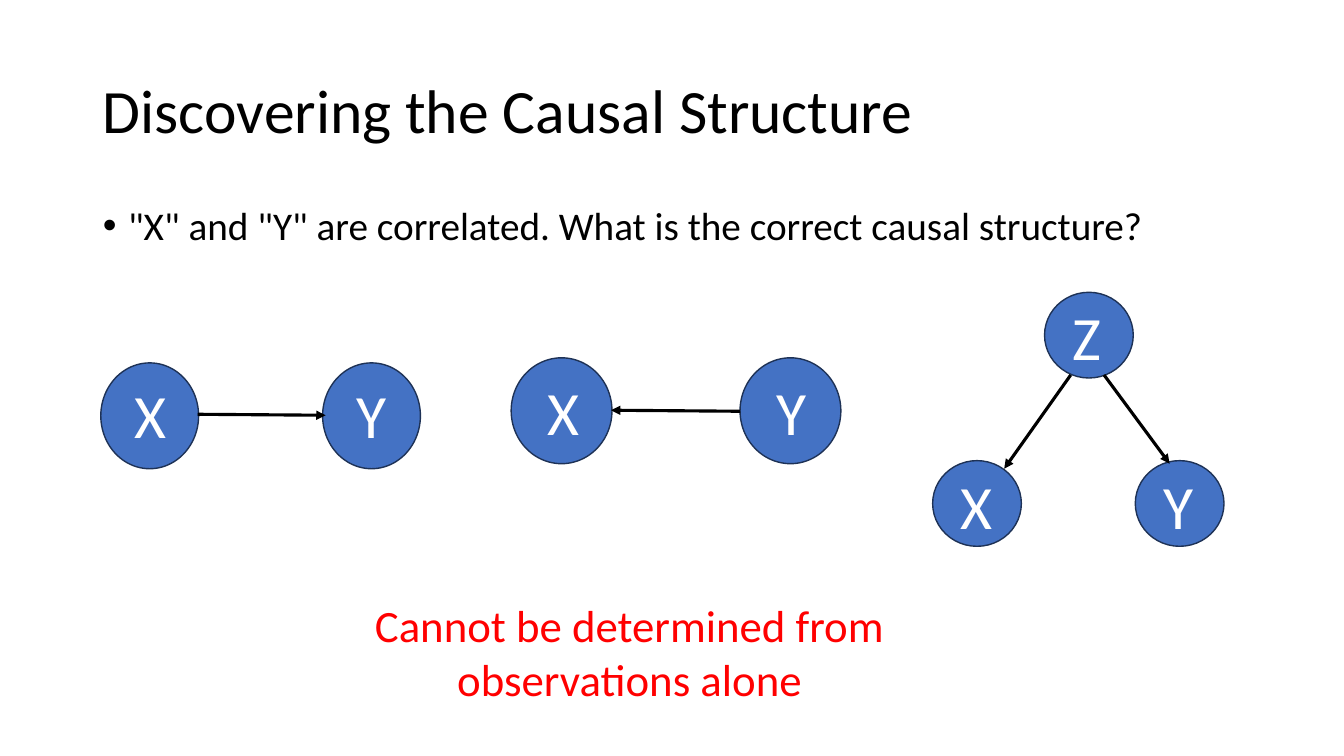
from lxml import etree
from pptx import Presentation
from pptx import util as u
from pptx.dml.color import RGBColor
from pptx.enum import shapes, text
from pptx.oxml.ns import qn

COLORS = {"ink": "000000", "node": "4472C4", "outline": "1E3256", "label": "FFFFFF", "answer": "FF0000"}
FONT = "Calibri"

DIAGRAMS = [
    {"size": (0.97, 1.05), "offset": (0.24, 0.09), "label": (0.43, 0.76),
     "nodes": [("X", 1, 3.6), ("Y", 3.2, 3.6)],
     "arrows": [(1.96, 4.11, 3.23, 4.12)]},
    {"size": (1, 1.05), "offset": (0.26, 0.11), "label": (0.44, 0.76),
     "nodes": [("X", 5.07, 3.55), ("Y", 7.34, 3.55)],
     "arrows": [(7.34, 4.08, 6.06, 4.07)]},
    {"size": (0.88, 0.85), "offset": (0.18, 0.02), "label": (0.39, 0.62),
     "nodes": [("Z", 10.36, 2.9), ("X", 9.25, 4.57), ("Y", 11.26, 4.57)],
     "arrows": [(10.62, 3.72, 9.96, 4.65), (10.95, 3.72, 11.6, 4.6)]},
]


def color(name):
    return RGBColor.from_string(COLORS[name])


def inches(*values):
    return [u.Inches(value) for value in values]


def write(shape, words, size, ink, align=text.PP_ALIGN.LEFT):
    frame = shape.text_frame
    frame.word_wrap = True
    frame.auto_size = text.MSO_AUTO_SIZE.NONE
    frame.text = words
    paragraph = frame.paragraphs[0]
    paragraph.alignment = align
    paragraph.space_before = u.Pt(0)
    paragraph.font.name = FONT
    paragraph.font.size = u.Pt(size)
    paragraph.font.color.rgb = color(ink)
    return paragraph


def fill_placeholder(shape, box, words, size, anchor):
    shape.left, shape.top, shape.width, shape.height = inches(*box)
    paragraph = write(shape, words, size, "ink")
    paragraph.line_spacing = 0.9
    shape.text_frame.vertical_anchor = anchor
    return paragraph


def add_bullet(paragraph):
    properties = paragraph._p.get_or_add_pPr()
    properties.set("marL", str(u.Inches(0.25)))
    properties.set("indent", str(u.Inches(-0.25)))
    etree.SubElement(properties, qn("a:buFont")).set("typeface", "Arial")
    etree.SubElement(properties, qn("a:buChar")).set("char", "•")


def add_text(parent, box, words, size, ink, align=text.PP_ALIGN.LEFT):
    write(parent.add_textbox(*inches(*box)), words, size, ink, align)


def add_node(parent, left, top, size):
    node = parent.add_shape(shapes.MSO_SHAPE.OVAL, *inches(left, top, *size))
    node.shadow.inherit = False
    node.fill.solid()
    node.fill.fore_color.rgb = color("node")
    node.line.color.rgb = color("outline")
    node.line.width = u.Pt(1)


def add_arrow(parent, ends):
    arrow = parent.add_connector(shapes.MSO_CONNECTOR.STRAIGHT, *inches(*ends))
    arrow.line.color.rgb = color("ink")
    arrow.line.width = u.Pt(2.25)
    etree.SubElement(arrow.line._get_or_add_ln(), qn("a:tailEnd")).set("type", "triangle")
    etree.SubElement(arrow._element.spPr, qn("a:effectLst"))


def add_diagram(slide, diagram):
    group = slide.shapes.add_group_shape().shapes
    shift_x, shift_y = diagram["offset"]
    for letter, left, top in diagram["nodes"]:
        add_node(group, left, top, diagram["size"])
        add_text(group, (left + shift_x, top + shift_y, *diagram["label"]), letter, 44, "label")
    for ends in diagram["arrows"]:
        add_arrow(group, ends)


def main():
    """Build the slide on candidate causal structures."""
    presentation = Presentation()
    presentation.slide_width, presentation.slide_height = inches(13.33, 7.5)
    slide = presentation.slides.add_slide(presentation.slide_layouts[1])
    fill_placeholder(slide.shapes.title, (0.92, 0.4, 11.5, 1.45),
                     "Discovering the Causal Structure", 44, text.MSO_ANCHOR.MIDDLE)
    question = fill_placeholder(slide.placeholders[1], (0.92, 2, 11.5, 0.68),
                                '"X" and "Y" are correlated. What is the correct causal structure?',
                                28, text.MSO_ANCHOR.TOP)
    add_bullet(question)
    question.font.size = u.Pt(28)
    for diagram in DIAGRAMS:
        add_diagram(slide, diagram)
    add_text(slide.shapes, (2.51, 5.88, 7.47, 1.18), "Cannot be determined from\vobservations alone",
             32, "answer", text.PP_ALIGN.CENTER)
    presentation.save("out.pptx")


if __name__ == "__main__":
    main()
